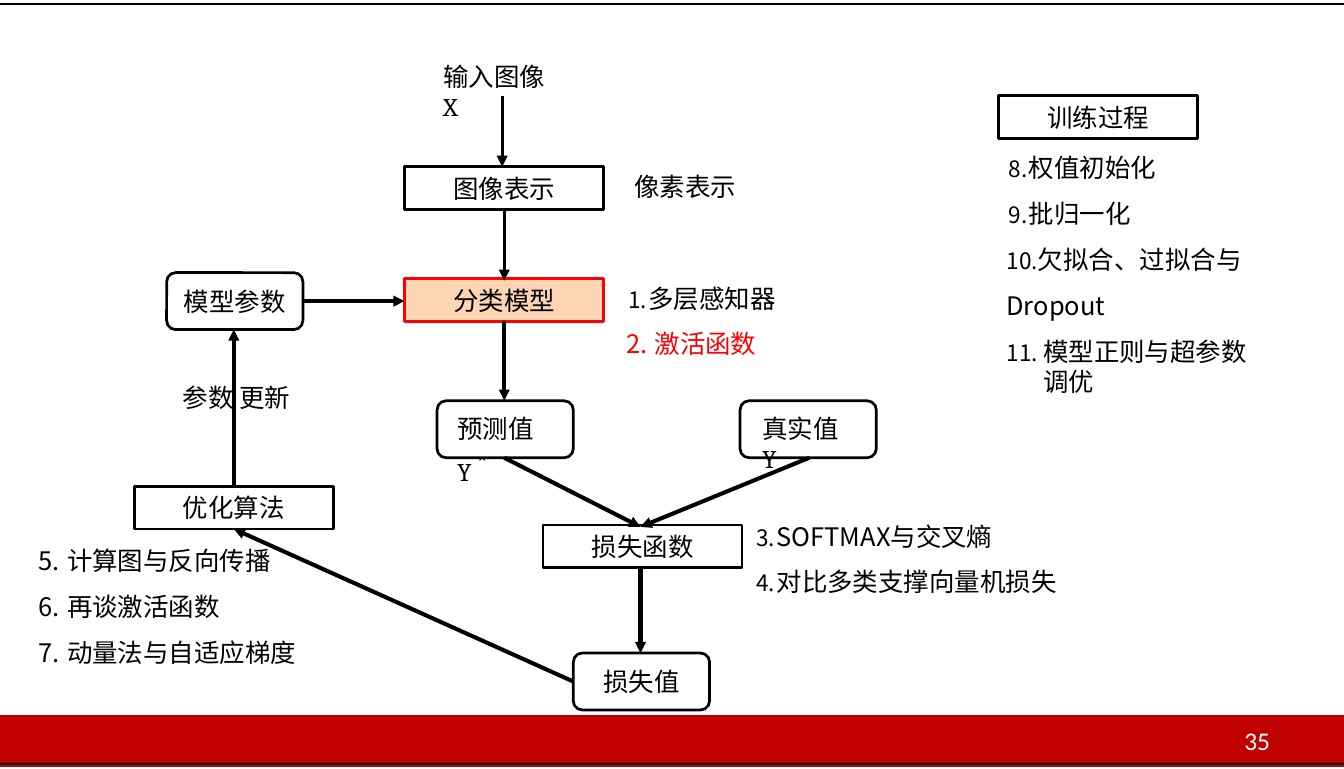
from dataclasses import dataclass

from lxml import etree
from pptx import Presentation
from pptx.dml.color import RGBColor
from pptx.enum.shapes import MSO_CONNECTOR, MSO_SHAPE
from pptx.enum.text import MSO_ANCHOR, MSO_AUTO_SIZE, PP_ALIGN
from pptx.oxml.ns import qn
from pptx.util import Inches, Pt

RECTANGLE, ROUNDED = MSO_SHAPE.RECTANGLE, MSO_SHAPE.ROUNDED_RECTANGLE
STRAIGHT = MSO_CONNECTOR.STRAIGHT
TOP, MIDDLE = MSO_ANCHOR.TOP, MSO_ANCHOR.MIDDLE
LEFT, CENTER = PP_ALIGN.LEFT, PP_ALIGN.CENTER
NO_AUTOFIT = MSO_AUTO_SIZE.NONE


@dataclass(frozen=True)
class Theme:
    black: str = "000000"
    white: str = "FFFFFF"
    red: str = "FF0000"
    peach: str = "FCD5B5"
    band: str = "C00000"
    body_font: str = "Noto Sans CJK SC"
    symbol_font: str = "Cambria"
    number_font: str = "Calibri"
    size: float = 9
    hat_size: float = 13.5
    leading: float = 10.8
    hat_leading: float = 16
    item_gap: float = 5.4
    thin: float = 0.96
    thick: float = 1.44


THEME = Theme()


@dataclass(frozen=True)
class Box:
    text: str
    left: float
    top: float
    width: float = 0.98
    height: float = 0.21
    kind: MSO_SHAPE = RECTANGLE
    fill: str | None = None
    line: str | None = THEME.black


@dataclass(frozen=True)
class Line:
    start: tuple[float, float]
    end: tuple[float, float]
    width: float = THEME.thick
    color: str = THEME.black
    head: bool = True


@dataclass(frozen=True)
class Item:
    text: str
    indent: float = 0.12
    hanging: float = 0.1
    bullet_size: int = 89
    color: str = THEME.black
    leading: float = THEME.leading
    gap: float = THEME.item_gap


@dataclass(frozen=True)
class NumberedList:
    left: float
    top: float
    width: float
    height: float
    first: int
    items: tuple[Item, ...]


def wide_item(text: str, color: str = THEME.black) -> Item:
    return Item(text, 0.15, 0.14, 100, color)


def rounded_box(text: str, left: float, top: float) -> Box:
    return Box(text, left, top, 0.67, 0.28, ROUNDED)


def strip(top: float, height: float = 0.01, color: str = THEME.band) -> Box:
    return Box("", 0, top, 6.61, height, fill=color, line=None)


def rule(y: float, width: float, color: str) -> Line:
    return Line((0, y), (6.61, y), width, color, False)


STRIPS = (strip(3.53, 0.24), strip(3.52), strip(3.76), strip(3.75, color=THEME.black))
RULES = (rule(3.52, 0.48, THEME.band), rule(0.02, THEME.thin, THEME.black))
BOXES = (
    Box("图像表示", 1.99, 0.82),
    Box("分类模型", 1.99, 1.37, fill=THEME.peach, line=THEME.red),
    Box("损失函数", 2.67, 2.58),
    Box("优化算法", 0.66, 2.39),
    Box("训练过程", 4.91, 0.47),
    rounded_box("模型参数", 0.82, 1.34),
    rounded_box("损失值", 2.82, 3.21),
    rounded_box("", 2.15, 1.97),
    rounded_box("", 3.64, 1.97),
)
LINES = (
    Line((2.47, 0.47), (2.47, 0.82), THEME.thin),
    Line((2.48, 1.03), (2.48, 1.38), THEME.thin),
    Line((2.48, 1.58), (2.48, 1.97)),
    Line((2.48, 2.25), (3.15, 2.59)),
    Line((3.98, 2.25), (3.15, 2.59)),
    Line((3.15, 2.79), (3.15, 3.21)),
    Line((2.82, 3.35), (1.15, 2.6)),
    Line((1.15, 2.39), (1.15, 1.62)),
    Line((1.49, 1.48), (1.99, 1.48)),
)
LISTS = (
    NumberedList(3.07, 1.31, 0.9, 0.48, 1, (
        Item("多层感知器"), wide_item("激活函数", THEME.red))),
    NumberedList(3.7, 2.48, 1.6, 0.48, 3, (
        Item("SOFTMAX与交叉熵"), Item("对比多类支撑向量机损失"))),
    NumberedList(0.18, 2.6, 1.4, 0.7, 5, (
        wide_item("计算图与反向传播"), wide_item("再谈激活函数"), wide_item("动量法与自适应梯度"))),
    NumberedList(4.94, 0.67, 1.25, 1.15, 8, (
        Item("权值初始化"), Item("批归一化"),
        Item("欠拟合、过拟合与 Dropout", 0.01, 0, leading=1.5 * THEME.leading, gap=0),
        Item("模型正则与超参数调优", 0.19, 0.18))),
)


def add_text(paragraph, text: str, *, font: str = THEME.body_font, size: float = THEME.size,
             color: str = THEME.black, align=LEFT, leading: float = THEME.leading,
             spacing: float = 0, baseline: int = 0) -> None:
    paragraph.alignment = align
    paragraph.line_spacing = Pt(leading)
    run = paragraph.add_run()
    run.text = text
    run.font.name = font
    run.font.size = Pt(size)
    run.font.bold = False
    run.font.color.rgb = RGBColor.from_string(color)
    properties = run.font._element
    if spacing:
        properties.set("spc", str(round(spacing * 100)))
    if baseline:
        properties.set("baseline", str(baseline * 1000))
    east_asian = etree.SubElement(properties, qn("a:ea"))
    east_asian.set("typeface", THEME.body_font)


def set_frame(shape, left: float = 0.01, top: float = 0.01, anchor=TOP):
    frame = shape.text_frame
    frame.word_wrap = True
    frame.auto_size = NO_AUTOFIT
    frame.vertical_anchor = anchor
    frame.margin_left, frame.margin_top = Inches(left), Inches(top)
    frame.margin_right = frame.margin_bottom = 0
    return frame


def add_label(slide, left: float, top: float, width: float, height: float):
    return slide.shapes.add_textbox(Inches(left), Inches(top), Inches(width), Inches(height))


def draw_box(slide, box: Box) -> None:
    shape = slide.shapes.add_shape(box.kind, Inches(box.left), Inches(box.top),
                                   Inches(box.width), Inches(box.height))
    shape.shadow.inherit = False
    if box.kind == ROUNDED:
        shape.adjustments[0] = 0.16
    if box.fill:
        shape.fill.solid()
        shape.fill.fore_color.rgb = RGBColor.from_string(box.fill)
    else:
        shape.fill.background()
    if box.line:
        shape.line.color.rgb = RGBColor.from_string(box.line)
        shape.line.width = Pt(THEME.thin)
    else:
        shape.line.fill.background()
    if box.text:
        frame = set_frame(shape, left=0, top=0, anchor=MIDDLE)
        add_text(frame.paragraphs[0], box.text, align=CENTER)


def draw_line(slide, line: Line) -> None:
    connector = slide.shapes.add_connector(STRAIGHT, *map(Inches, line.start + line.end))
    connector.line.color.rgb = RGBColor.from_string(line.color)
    connector.line.width = Pt(line.width)
    if line.head:
        head = etree.SubElement(connector.line._get_or_add_ln(), qn("a:tailEnd"))
        for name, value in (("type", "triangle"), ("w", "sm"), ("len", "sm")):
            head.set(name, value)
    etree.SubElement(connector._element.spPr, qn("a:effectLst"))


def draw_list(slide, numbered: NumberedList) -> None:
    shape = add_label(slide, numbered.left, numbered.top, numbered.width, numbered.height)
    frame = set_frame(shape, left=0, top=0.08)
    for index, item in enumerate(numbered.items):
        paragraph = frame.add_paragraph() if index else frame.paragraphs[0]
        properties = paragraph._p.get_or_add_pPr()
        properties.set("marL", str(Inches(item.indent)))
        properties.set("indent", str(-Inches(item.hanging)))
        etree.SubElement(properties, qn("a:buSzPct")).set("val", str(item.bullet_size * 1000))
        number = etree.SubElement(properties, qn("a:buAutoNum"))
        number.set("type", "arabicPeriod")
        number.set("startAt", str(numbered.first))
        paragraph.space_before = Pt(item.gap if index else 0)
        add_text(paragraph, item.text, color=item.color, leading=item.leading)


def main() -> None:
    presentation = Presentation()
    presentation.slide_width, presentation.slide_height = Inches(6.61), Inches(3.78)
    slide = presentation.slides.add_slide(presentation.slide_layouts[5])

    title = slide.shapes.title
    title.left, title.top, title.width, title.height = map(Inches, (2.17, 0.29, 0.56, 0.32))
    heading = set_frame(title).paragraphs[0]
    add_text(heading, "输入图像")
    add_text(heading, "X", font=THEME.symbol_font)

    for box in STRIPS + BOXES:
        draw_box(slide, box)
    for line in RULES + LINES:
        draw_line(slide, line)

    predicted = set_frame(add_label(slide, 2.24, 1.96, 0.44, 0.45), top=0).paragraphs[0]
    add_text(predicted, "预测值", leading=THEME.hat_leading)
    add_text(predicted, "Y", font=THEME.symbol_font, leading=THEME.hat_leading, spacing=-4.5)
    add_text(predicted, "＾", font=THEME.symbol_font, size=THEME.hat_size,
             leading=THEME.hat_leading, spacing=-7.3, baseline=9)
    actual = set_frame(add_label(slide, 3.74, 2.01, 0.44, 0.32), top=0.02).paragraphs[0]
    add_text(actual, "真实值")
    add_text(actual, "Y", font=THEME.symbol_font)

    for text, left, top in (("参数 更新", 0.89, 1.87), ("像素表示", 3.11, 0.83)):
        add_text(set_frame(add_label(slide, left, top, 0.6, 0.18)).paragraphs[0], text)
    for numbered in LISTS:
        draw_list(slide, numbered)

    page_number = set_frame(add_label(slide, 6.11, 3.58, 0.15, 0.15), top=0)
    add_text(page_number.paragraphs[0], "35", font=THEME.number_font, color=THEME.white, leading=9.6)
    presentation.save("out.pptx")


if __name__ == "__main__":
    main()
